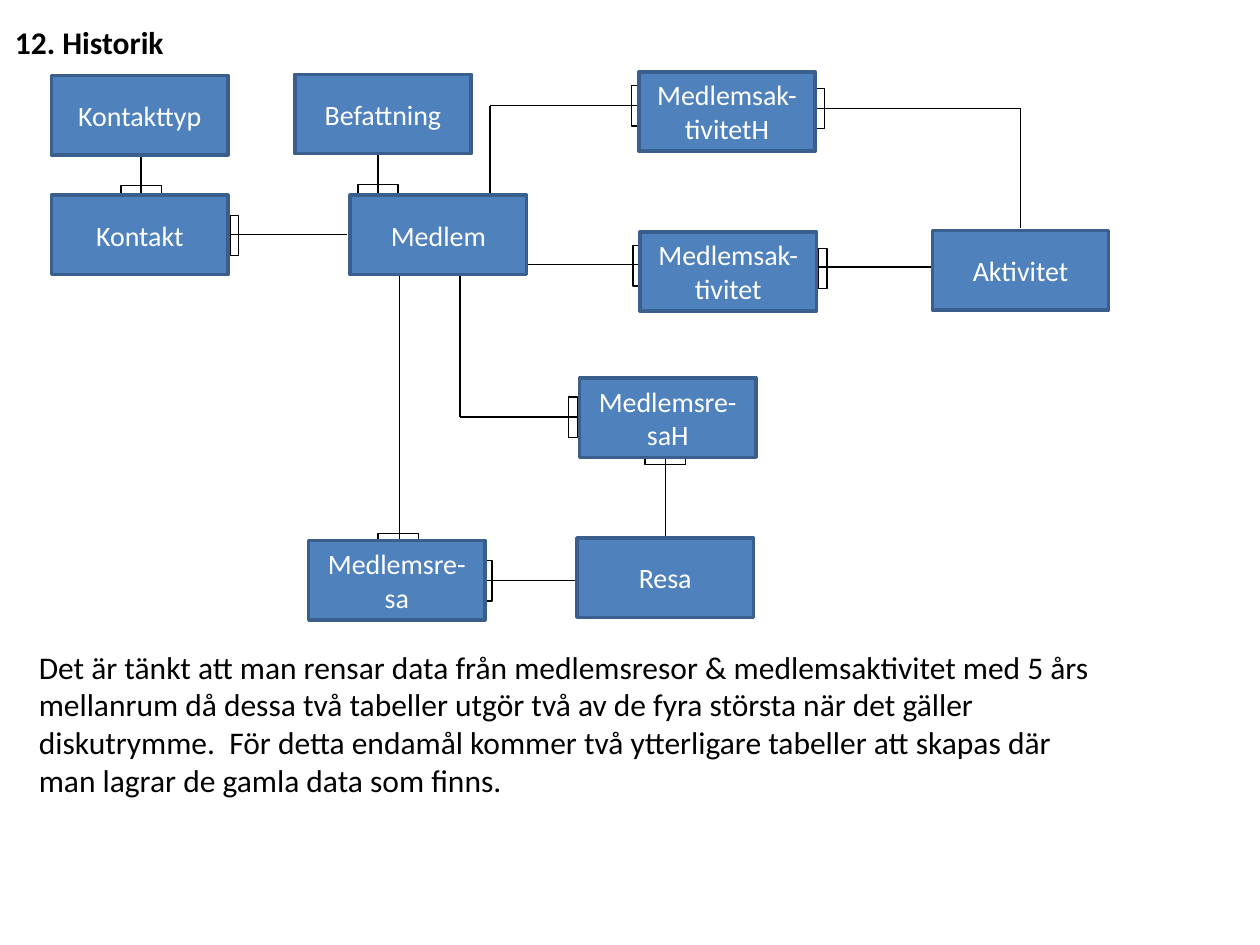
"""Build the history slide: a table diagram with a heading and a note."""
from itertools import pairwise
from lxml import etree
from pptx import Presentation
from pptx.dml.color import RGBColor
from pptx.enum.shapes import MSO_CONNECTOR, MSO_SHAPE
from pptx.enum.text import MSO_ANCHOR, PP_ALIGN
from pptx.oxml.ns import qn
from pptx.util import Inches, Pt

RECT, LINE = MSO_SHAPE.RECTANGLE, MSO_CONNECTOR.STRAIGHT
MIDDLE, CENTER = MSO_ANCHOR.MIDDLE, PP_ALIGN.CENTER

COLORS = {"ink": "000000", "box": "4F81BD", "edge": "3A5F8C", "label": "FFFFFF"}
FONT = "Calibri"
BOX = (1.4, 0.63)
MARK = (0.07, 0.32)

TITLE = "12. Historik"
NOTE = (
    "Det är tänkt att man rensar data från medlemsresor & medlemsaktivitet "
    "med 5 års mellanrum då dessa två tabeller utgör två av de fyra största "
    "när det gäller diskutrymme.  För detta endamål kommer två ytterligare "
    "tabeller att skapas där man lagrar de gamla data som finns."
)
TABLES = {
    "Kontakttyp": (0.41, 0.6),
    "Befattning": (2.34, 0.59),
    "Medlemsak-tivitetH": (5.07, 0.57),
    "Kontakt": (0.41, 1.55),
    "Medlem": (2.78, 1.55),
    "Medlemsak-tivitet": (5.08, 1.84),
    "Aktivitet": (7.4, 1.83),
    "Medlemsre-saH": (4.6, 3),
    "Medlemsre-sa": (2.45, 4.29),
    "Resa": (4.58, 4.27),
}
LINKS = [
    ([(3, 1.12), (3, 1.54)], (3, 1.5)),
    ([(1.12, 1.08), (1.12, 1.55)], (1.12, 1.51)),
    ([(2.75, 1.86), (1.82, 1.86)], (1.86, 1.87)),
    ([(4.16, 2.1), (5.09, 2.1)], (5.06, 2.11)),
    ([(7.42, 2.12), (6.49, 2.12)], (6.53, 2.13)),
    ([(3.17, 2.18), (3.17, 4.29)], (3.16, 4.27)),
    ([(4.77, 4.61), (3.83, 4.61)], (3.87, 4.61)),
    ([(3.89, 1.55), (3.89, 0.84), (5.08, 0.84)], (5.05, 0.84)),
    ([(8.1, 1.81), (8.1, 0.86), (6.47, 0.86)], (6.51, 0.86)),
    ([(5.28, 4.27), (5.28, 3.62)], (5.28, 3.65)),
    ([(3.65, 2.18), (3.65, 3.31), (4.58, 3.31)], (4.55, 3.31)),
]


def color(name):
    """Return a named colour."""
    return RGBColor.from_string(COLORS[name])


def stroke(item, name, width):
    """Set the line of a shape or connector."""
    item.line.color.rgb = color(name)
    item.line.width = Pt(width)


def write(shape, text, size, name, bold=False):
    """Put formatted text in a shape."""
    frame = shape.text_frame
    frame.word_wrap = True
    frame.text = text
    font = frame.paragraphs[0].runs[0].font
    font.name, font.size, font.bold = FONT, Pt(size), bold
    font.color.rgb = color(name)
    return frame


def rect(shapes, left, top, width, height):
    """Add a plain rectangle."""
    shape = shapes.add_shape(RECT, *map(Inches, (left, top, width, height)))
    shape.shadow.inherit = False
    return shape


def link(shapes, points, spot):
    """Draw a path and the bar at its many end."""
    for start, end in pairwise(points):
        wire = shapes.add_connector(LINE, *map(Inches, start + end))
        stroke(wire, "ink", 0.75)
        etree.SubElement(wire._element.spPr, qn("a:effectLst"))
    upright = points[-1][0] == points[-2][0]
    wide, high = MARK[::-1] if upright else MARK
    bar = rect(shapes, spot[0] - wide / 2, spot[1] - high / 2, wide, high)
    bar.fill.background()
    stroke(bar, "ink", 0.75)


def table(shapes, label, spot):
    """Draw one labelled box."""
    box = rect(shapes, *spot, *BOX)
    box.fill.solid()
    box.fill.fore_color.rgb = color("box")
    stroke(box, "edge", 2)
    frame = write(box, label, 16, "label")
    frame.vertical_anchor = MIDDLE
    frame.paragraphs[0].alignment = CENTER


def main():
    """Build and save the slide."""
    deck = Presentation()
    deck.slide_width, deck.slide_height = Inches(10), Inches(7.5)
    shapes = deck.slides.add_slide(deck.slide_layouts[6]).shapes
    head = shapes.add_textbox(*map(Inches, (0.02, 0.13, 7.09, 0.4)))
    write(head, TITLE, 18, "ink", True)
    for points, spot in LINKS:
        link(shapes, points, spot)
    for label, spot in TABLES.items():
        table(shapes, label, spot)
    note = shapes.add_textbox(*map(Inches, (0.21, 5.09, 8.66, 1.31)))
    write(note, NOTE, 18, "ink")
    deck.save("out.pptx")


main()
